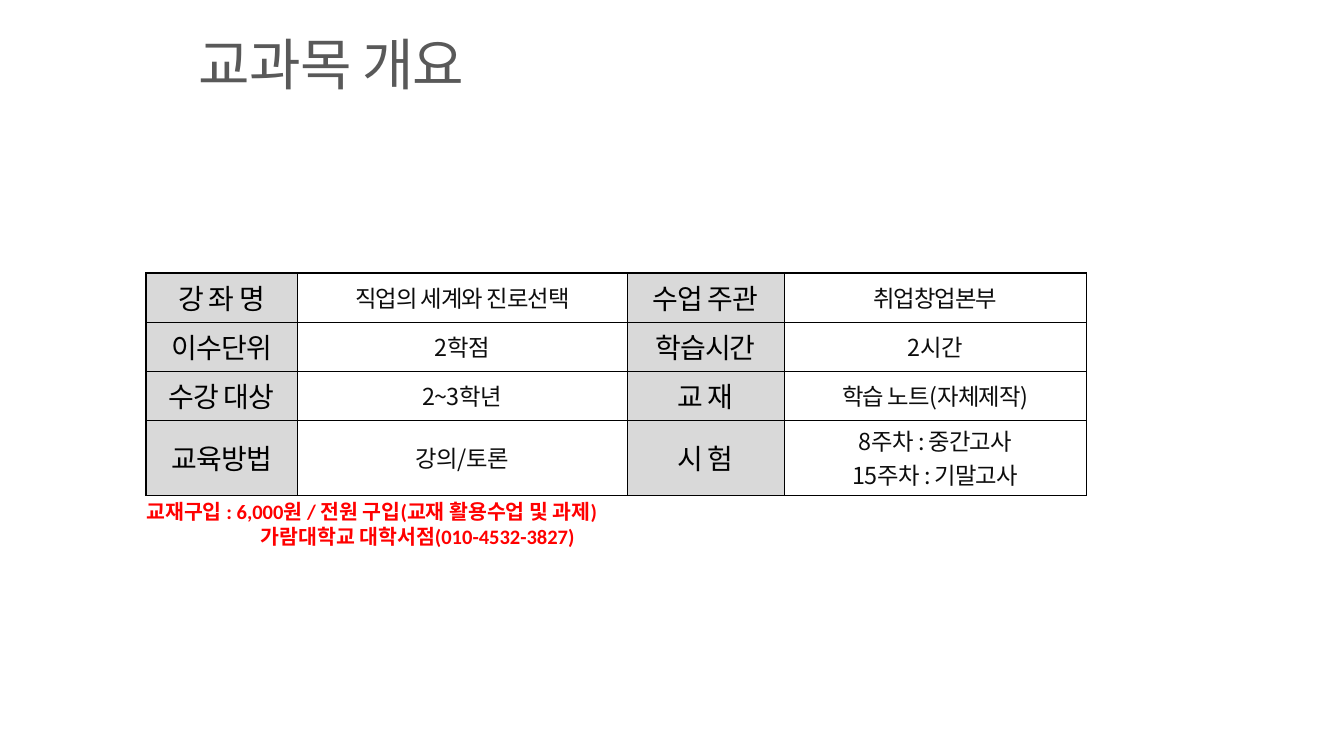
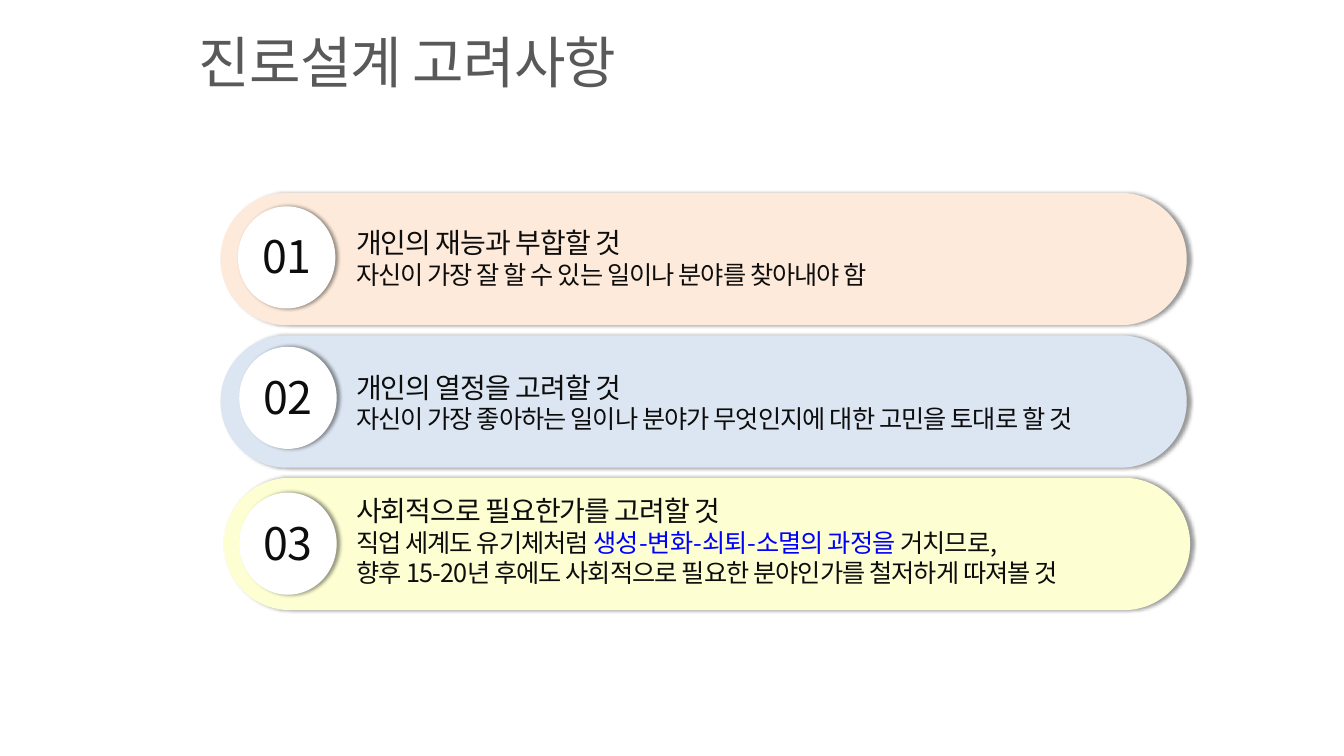
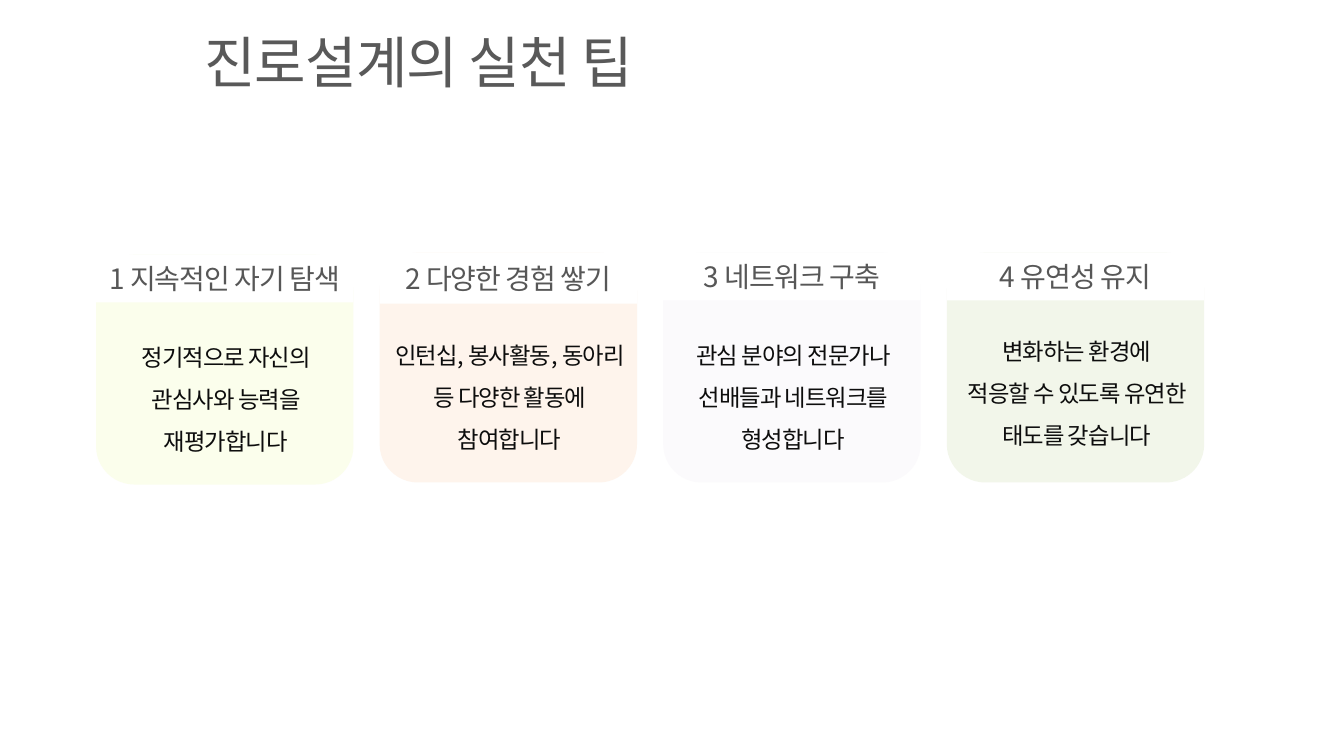
from pptx import Presentation, util as u
from pptx.dml.color import RGBColor
from pptx.enum import shapes, text
from pptx.oxml import parse_xml
from pptx.oxml.ns import nsdecls, qn
from lxml import etree

HUES = {
    "white": "FFFFFF", "black": "000000", "ink": "0D0D0D", "title": "595959",
    "head": "575757", "label": "D9D9D9", "red": "FF0000", "blue": "0000FF",
    "peach": "FDEADA", "sky": "DCE6F2", "lemon": "FDFED2",
    "lime": "FBFEEC", "cream": "FEF4EC", "mist": "FBFAFC", "sage": "F2F6EA",
}
SANS = "Noto Sans CJK KR"
KIND = shapes.MSO_SHAPE
MID = text.MSO_ANCHOR.MIDDLE
CENTER = text.PP_ALIGN.CENTER
inch = u.Inches


def hue(name):
    return RGBColor.from_string(HUES[name])


def write(frame, lines, size, color="ink", font=SANS, bold=False, track=-1,
          align=None, space=None, anchor=None, pad=(0.1, 0.05), wrap=True):
    frame.word_wrap = wrap
    frame.margin_left = frame.margin_right = inch(pad[0])
    frame.margin_top = frame.margin_bottom = inch(pad[1])
    if anchor is not None:
        frame.vertical_anchor = anchor
    for i, line in enumerate(lines):
        para = frame.add_paragraph() if i else frame.paragraphs[0]
        para.alignment = align
        if space:
            para.line_spacing = space
        for part in [line] if isinstance(line, str) else line:
            words, look = (part, {}) if isinstance(part, str) else part
            run = para.add_run()
            run.text = words
            run.font.size = u.Pt(look.get("size", size))
            run.font.name = font
            run.font.bold = bold
            run.font.color.rgb = hue(look.get("color", color))
            props = run.font._element
            if track:
                props.set("spc", str(track * 100))
            east = etree.Element(qn("a:ea"), typeface=SANS)
            props.find(qn("a:latin")).addnext(east)


def label(slide, box, lines, size, **look):
    area = slide.shapes.add_textbox(*map(inch, box))
    write(area.text_frame, lines, size, **look)
    return area


def block(slide, kind, box, fill, shade=False):
    item = slide.shapes.add_shape(kind, *map(inch, box))
    item.shadow.inherit = False
    item.fill.solid()
    item.fill.fore_color.rgb = hue(fill)
    item.line.fill.background()
    if shade:
        cast = parse_xml(
            f'<a:outerShdw {nsdecls("a")} blurRad="{u.Pt(4)}" dist="{u.Pt(3)}" '
            f'dir="0" algn="l" rotWithShape="0"><a:srgbClr val="{HUES["black"]}">'
            '<a:alpha val="40000"/></a:srgbClr></a:outerShdw>')
        item._element.spPr.find(qn("a:effectLst")).append(cast)
    return item


def title(slide, words, left=2.96, top=0.32):
    label(slide, (left, top, 10.38, 1.19), [words], 60, color="title",
          space=1.0, anchor=MID, pad=(0, 0))


def edge(cell, side, width):
    cell._tc.get_or_add_tcPr().append(parse_xml(
        f'<a:ln{side} {nsdecls("a")} w="{u.Pt(width)}"><a:solidFill>'
        f'<a:srgbClr val="{HUES["black"]}"/></a:solidFill></a:ln{side}>'))


def facts(slide, box, cols, highs, rows):
    frame = slide.shapes.add_table(len(rows), len(cols), *map(inch, box))
    grid = frame.table
    grid.first_row = grid.horz_banding = False
    for col, width in zip(grid.columns, cols):
        col.width = inch(width)
    for r, row in enumerate(rows):
        grid.rows[r].height = inch(highs[r])
        for c, words in enumerate(row):
            cell = grid.cell(r, c)
            outer = {"L": c == 0, "R": c == len(cols) - 1,
                     "T": r == 0, "B": r == len(rows) - 1}
            for side, thick in outer.items():
                edge(cell, side, 1.7 if thick else 0.75)
            cell.vertical_anchor = MID
            cell.margin_left = cell.margin_right = inch(0.16)
            cell.margin_top = cell.margin_bottom = inch(0.06)
            named = c % 2 == 0
            if named:
                cell.fill.solid()
                cell.fill.fore_color.rgb = hue("label")
            else:
                cell.fill.background()
            write(cell.text_frame, words.split("\n"), 30 if named else 25,
                  color="black" if named else "ink", align=CENTER,
                  pad=(0.16, 0.06))


def course(slide):
    title(slide, "교과목 개요", top=0.35)
    facts(slide, (2.17, 4.06, 14, 3.31), (2.26, 4.9, 2.34, 4.5),
          (0.73, 0.73, 0.73, 1.12), [
              ("강 좌 명", "직업의 세계와 진로선택", "수업 주관", "취업창업본부"),
              ("이수단위", "2학점", "학습시간", "2시간"),
              ("수강 대상", "2~3학년", "교 재", "학습 노트(자체제작)"),
              ("교육방법", "강의/토론", "시 험", "8주차 : 중간고사\n15주차 : 기말고사"),
          ])
    note = label(slide, (2.08, 7.38, 9.08, 0.84), [
        "교재구입 : 6,000원 / 전원 구입(교재 활용수업 및 과제)",
        "가람대학교 대학서점(010-4532-3827)",
    ], 22, color="red", font="Calibri", bold=True, track=0)
    last = note.text_frame.paragraphs[1]._p.get_or_add_pPr()
    last.set("marL", str(inch(1.7)))
    last.set("indent", "0")


def pill(slide, box, num, fill, shift, disc, drop, head, lines, space):
    x, y, w, h = box
    bar = block(slide, KIND.ROUNDED_RECTANGLE, (x + shift, y, w, h), fill, True)
    bar.adjustments[0] = 0.5
    dx, dy = disc
    block(slide, KIND.OVAL, (x + dx, y + dy, 1.45, 1.52), "white", True)
    label(slide, (x + dx + 0.22, y + dy + 0.23, 1.02, 1.02), [f"{num:02}"],
          48, align=CENTER, anchor=MID, wrap=False)
    area = label(slide, (x + 1.92, y + drop, 12.46, 1.47),
                 [[(head, {"size": 30})], *lines], 27)
    area.text_frame.paragraphs[0].line_spacing = space


def points(slide):
    title(slide, "진로설계 고려사항")
    rows = [
        ("peach", 0, (0.26, 0.2), 0.19, "개인의 재능과 부합할 것",
         ["자신이 가장 잘 할 수 있는 일이나 분야를 찾아내야 함"], 1.5),
        ("sky", 0, (0.28, 0.17), 0.22, "개인의 열정을 고려할 것",
         ["자신이 가장 좋아하는 일이나 분야가 무엇인지에 대한 고민을 토대로 할 것"], 1.5),
        ("lemon", 0.05, (0.28, 0.22), 0.19, "사회적으로 필요한가를 고려할 것",
         [["직업 세계도 유기체처럼 ",
           ("생성-변화-쇠퇴-소멸의 과정을 ", {"color": "blue"}), "거치므로,"],
          "향후 15-20년 후에도 사회적으로 필요한 분야인가를 철저하게 따져볼 것"], None),
    ]
    for i, row in enumerate(rows):
        pill(slide, (3.28, 2.87 + 2.12 * i, 14.38, 1.97), i + 1, *row)


def card(slide, box, fill, head, lines, tall, drop):
    x, y, w, h = box
    block(slide, KIND.ROUNDED_RECTANGLE, box, fill)
    top = block(slide, KIND.RECTANGLE, (x, y, w, tall), "white")
    look = dict(align=CENTER, anchor=MID, pad=(0, 0))
    write(top.text_frame, [head], 30, color="head", space=1.0, **look)
    label(slide, (x + 0.15, y + drop, 3.56, 1.26), lines, 25, space=1.5, **look)


def tips(slide):
    title(slide, "진로설계의 실천 팁", left=3.04)
    cards = [
        (3.79, "lime", "지속적인 자기 탐색",
         ["정기적으로 자신의 관심사와 능력을 재평가합니다"], 0.71, 1.42),
        (3.76, "cream", "다양한 경험 쌓기",
         ["인턴십, 봉사활동, 동아리 등 다양한 활동에 참여합니다"], 0.76, 1.42),
        (3.76, "mist", "네트워크 구축",
         ["관심 분야의 전문가나 선배들과 네트워크를 형성합니다"], 0.71, 1.42),
        (3.76, "sage", "유연성 유지",
         ["변화하는 환경에", "적응할 수 있도록 유연한 태도를 갖습니다"], 0.71, 1.36),
    ]
    for i, (top, fill, head, *rest) in enumerate(cards):
        card(slide, (1.43 + 4.22 * i, top, 3.83, 3.42), fill,
             f"{i + 1} {head}", *rest)


def main():
    deck = Presentation()
    deck.slide_width, deck.slide_height = inch(20), inch(11.25)
    for build in (course, points, tips):
        build(deck.slides.add_slide(deck.slide_layouts[6]))
    deck.save("out.pptx")


if __name__ == "__main__":
    main()
